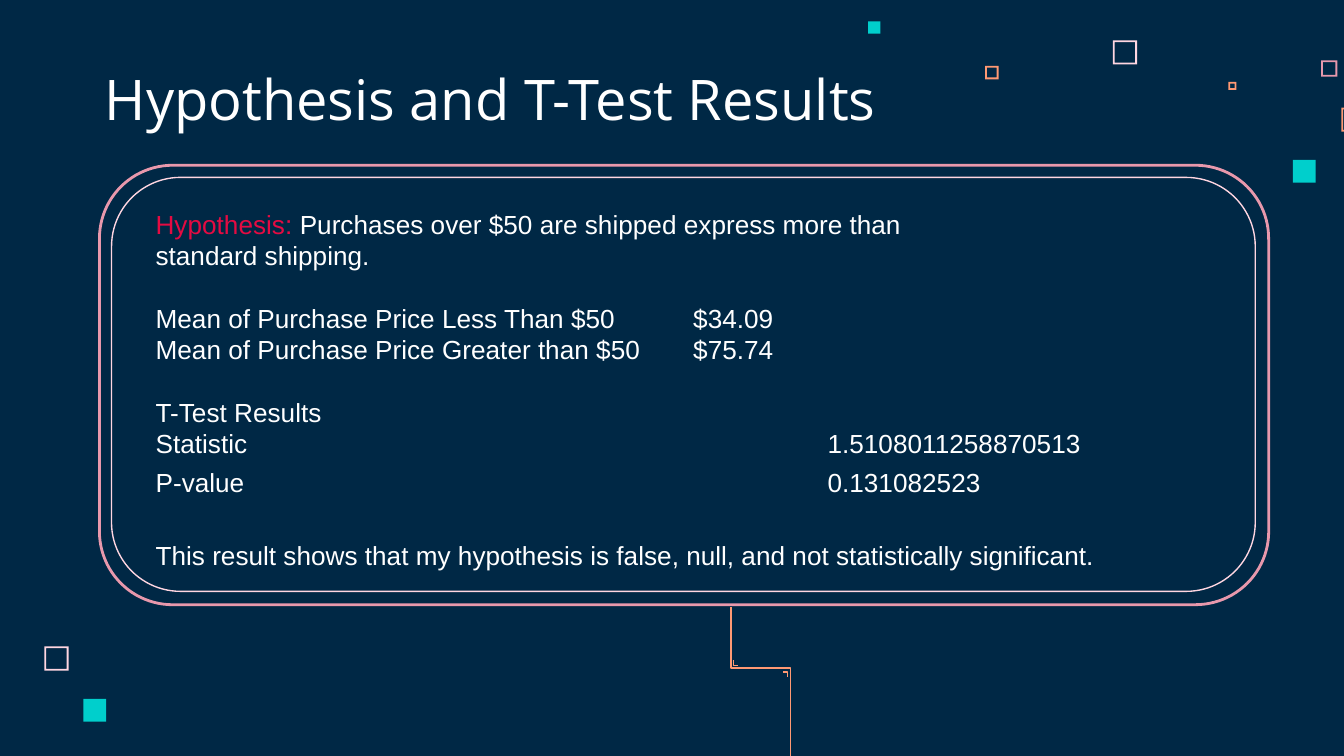
"""Build the hypothesis and t-test results slide on a grid of 100 columns."""
from dataclasses import dataclass

from lxml import etree
from pptx import Presentation
from pptx.dml.color import RGBColor
from pptx.enum.shapes import MSO_SHAPE
from pptx.enum.text import MSO_ANCHOR, PP_ALIGN
from pptx.oxml.ns import qn
from pptx.util import Emu, Inches, Pt

FRAME, RECTANGLE, ROUNDED = MSO_SHAPE.FRAME, MSO_SHAPE.RECTANGLE, MSO_SHAPE.ROUNDED_RECTANGLE
BOTTOM, TOP, LEFT = MSO_ANCHOR.BOTTOM, MSO_ANCHOR.TOP, PP_ALIGN.LEFT
NAVY, WHITE, RED = "002845", "FFFFFF", "E40B42"
BLUSH, PINK, ORANGE, TEAL = "FFD6E1", "E898AC", "FF9973", "00CFCC"
COLUMNS, ROWS = 100, 56.25
FRAME_STROKE = 0.13
LINE_PITCH = 16.8


@dataclass(frozen=True)
class Square:
    column: float
    row: float
    side: float
    color: str
    hollow: bool = True


@dataclass(frozen=True)
class Border:
    column: float
    row: float
    columns: float
    rows: float
    color: str
    weight: float


@dataclass(frozen=True)
class Finding:
    runs: tuple[tuple[str, str], ...]
    gap: float = 0
    tab: float = 0


SQUARES = (
    Square(82.8, 3, 1.8, BLUSH),
    Square(98.3, 4.5, 1.2, PINK),
    Square(91.4, 6.1, 0.6, ORANGE),
    Square(99.8, 8, 1.8, ORANGE),
    Square(96.2, 11.9, 1.7, TEAL, False),
    Square(73.3, 4.9, 1, ORANGE),
    Square(64.6, 1.6, 0.9, TEAL, False),
    Square(3.3, 48.1, 1.8, BLUSH),
    Square(6.2, 52, 1.7, TEAL, False),
)
BORDERS = (
    Border(7.4, 12.3, 87, 32.7, PINK, 1.5),
    Border(8.3, 13.2, 85.1, 30.8, BLUSH, 0.75),
)
CIRCUIT = (
    ((54.4, 45.2), (54.4, 49.7), (58.8, 49.7), (58.8, 59.3)),
    ((58.3, 50), (58.6, 50), (58.6, 50.4)),
    ((54.6, 49.1), (54.6, 49.5), (54.9, 49.5)),
)
FINDINGS = (
    Finding((("Hypothesis: ", RED), ("Purchases over $50 are shipped express more than", WHITE))),
    Finding((("standard shipping.", WHITE),)),
    Finding((("Mean of Purchase Price Less Than $50\t$34.09", WHITE),), LINE_PITCH, 40),
    Finding((("Mean of Purchase Price Greater than $50\t$75.74", WHITE),), 0, 40),
    Finding((("T-Test Results", WHITE),), LINE_PITCH),
    Finding((("Statistic\t1.5108011258870513", WHITE),), 0, 50),
    Finding((("P-value\t0.131082523", WHITE),), 4, 50),
    Finding((("This result shows that my hypothesis is false, null, "
              "and not statistically significant.", WHITE),), 22.3),
)


def grid(cells: float) -> Emu:
    """Convert grid cells to a length."""
    return Inches(cells / 10)


def rgb(color: str) -> RGBColor:
    """Convert a hex string to a colour."""
    return RGBColor.from_string(color)


def outline(shape, color: str, weight: float) -> None:
    """Leave a shape unfilled with a plain line."""
    shape.shadow.inherit = False
    shape.fill.background()
    shape.line.color.rgb = rgb(color)
    shape.line.width = Pt(weight)


def add_run(paragraph, words: str, color: str, font: str, size: float) -> None:
    """Append one formatted run."""
    run = paragraph.add_run()
    run.text = words
    run.font.name = font
    run.font.size = Pt(size)
    run.font.color.rgb = rgb(color)


def draw_square(slide, square: Square) -> None:
    """Draw a solid or hollow decorative square."""
    side = grid(square.side)
    preset = FRAME if square.hollow else RECTANGLE
    tile = slide.shapes.add_shape(preset, grid(square.column), grid(square.row), side, side)
    if square.hollow:
        tile.adjustments[0] = FRAME_STROKE / square.side
    tile.shadow.inherit = False
    tile.fill.solid()
    tile.fill.fore_color.rgb = rgb(square.color)
    tile.line.fill.background()


def draw_border(slide, border: Border) -> None:
    """Draw one rounded border of the panel."""
    panel = slide.shapes.add_shape(ROUNDED, grid(border.column), grid(border.row),
                                   grid(border.columns), grid(border.rows))
    outline(panel, border.color, border.weight)


def draw_circuit(slide) -> None:
    """Draw the stepped line below the panel with its corner marks."""
    strokes = [[(grid(x), grid(y)) for x, y in stroke] for stroke in CIRCUIT]
    builder = slide.shapes.build_freeform(*strokes[0][0])
    builder.add_line_segments(strokes[0][1:], close=False)
    for start, *rest in strokes[1:]:
        builder.move_to(*start)
        builder.add_line_segments(rest, close=False)
    outline(builder.convert_to_shape(), ORANGE, 0.75)


def write_title(slide, words: str) -> None:
    """Place and format the title."""
    title = slide.shapes.title
    title.left, title.top, title.width, title.height = map(grid, (6.8, 4.5, 73, 6.3))
    frame = title.text_frame
    frame.vertical_anchor = BOTTOM
    frame.margin_left = frame.margin_right = frame.margin_top = frame.margin_bottom = grid(1)
    frame.paragraphs[0].alignment = LEFT
    add_run(frame.paragraphs[0], words, WHITE, "Open Sans", 30)


def set_tab(paragraph, cells: float) -> None:
    """Give a paragraph one left tab stop."""
    stops = etree.SubElement(paragraph._p.get_or_add_pPr(), qn("a:tabLst"))
    etree.SubElement(stops, qn("a:tab"), pos=str(int(grid(cells))), algn="l")


def write_findings(slide) -> None:
    """Write the findings inside the panel."""
    frame = slide.shapes.add_textbox(*map(grid, (10.6, 15, 82, 28.3))).text_frame
    frame.word_wrap = True
    frame.vertical_anchor = TOP
    for index, finding in enumerate(FINDINGS):
        paragraph = frame.add_paragraph() if index else frame.paragraphs[0]
        paragraph.line_spacing = Pt(LINE_PITCH)
        paragraph.space_before = Pt(finding.gap)
        if finding.tab:
            set_tab(paragraph, finding.tab)
        for words, color in finding.runs:
            add_run(paragraph, words, color, "Arial", 14)


def main() -> None:
    """Build and save the slide."""
    deck = Presentation()
    deck.slide_width, deck.slide_height = grid(COLUMNS), grid(ROWS)
    slide = deck.slides.add_slide(deck.slide_layouts[5])
    slide.background.fill.solid()
    slide.background.fill.fore_color.rgb = rgb(NAVY)
    for square in SQUARES:
        draw_square(slide, square)
    for border in BORDERS:
        draw_border(slide, border)
    write_title(slide, "Hypothesis and T-Test Results")
    draw_circuit(slide)
    write_findings(slide)
    deck.save("out.pptx")


if __name__ == "__main__":
    main()
